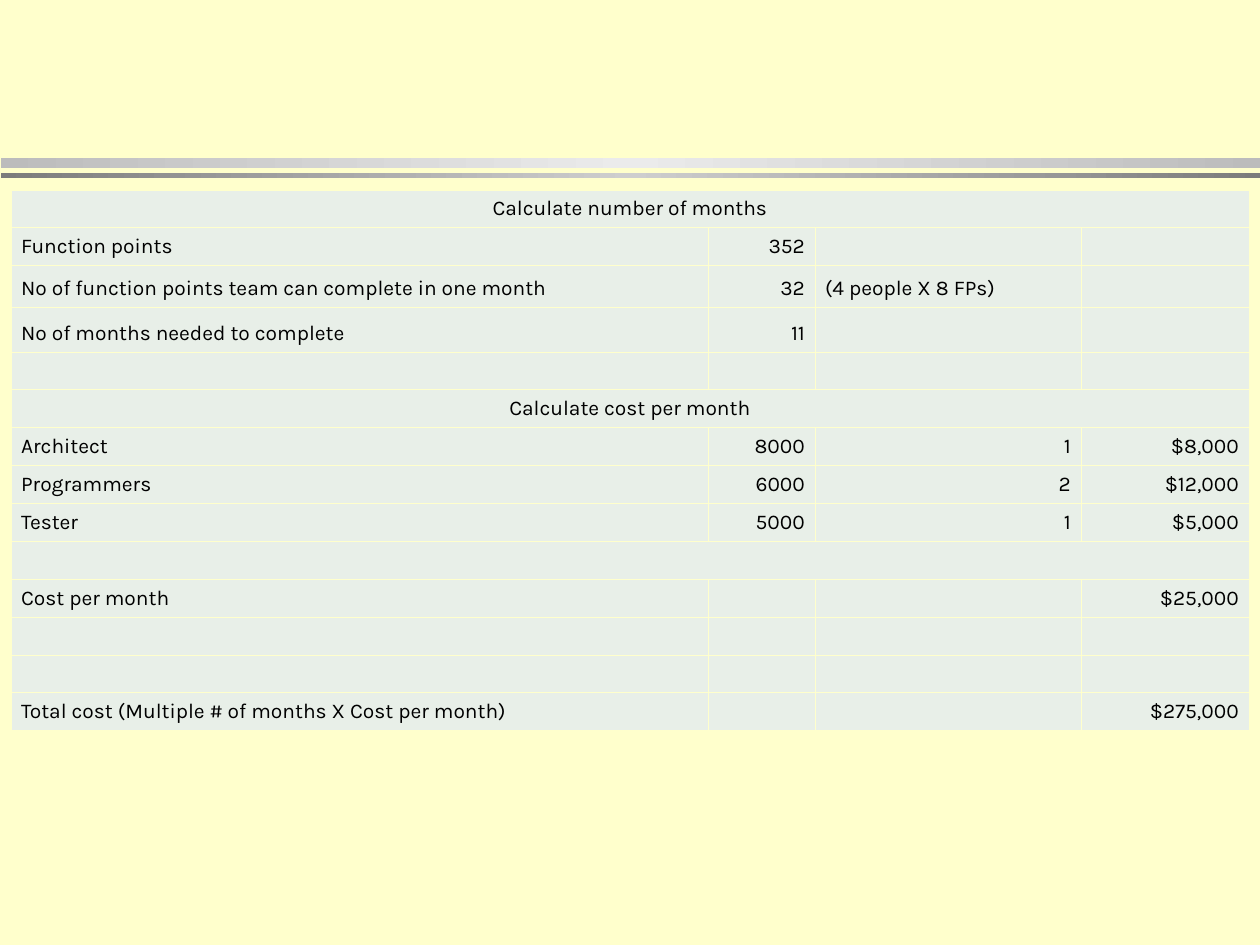
import copy

from lxml import etree
from pptx import Presentation
from pptx import util as u
from pptx.dml.color import RGBColor
from pptx.enum import shapes, text
from pptx.oxml.ns import qn

CREAM, CELL, BLACK = "FFFFCC", "E8EFE8", "000000"
COLUMNS = [697, 107, 266, 168]
HEIGHTS = [36, 38, 42, 45, 37] + [38] * 7 + [37, 38]
ROWS = [
    ["Calculate number of months"],
    ["Function points", "352", "", ""],
    ["No of function points team can complete in one month", "32", "(4 people X 8 FPs)", ""],
    ["No of months needed to complete", "11", "", ""],
    ["", "", "", ""],
    ["Calculate cost per month"],
    ["Architect", "8000", "1", "$8,000"],
    ["Programmers", "6000", "2", "$12,000"],
    ["Tester", "5000", "1", "$5,000"],
    [""],
    ["Cost per month", "", "", "$25,000"],
    ["", "", "", ""],
    ["", "", "", ""],
    ["Total cost (Multiple # of months X Cost per month)", "", "", "$275,000"],
]


def px(n):
    """Turn whole pixels into EMU at 126 pixels to the inch."""
    return u.Emu(round(n * 914400 / 126))


def rgb(code):
    """Turn a hex string into a colour."""
    return RGBColor.from_string(code)


def apply(obj, values):
    """Set the attributes named in a dict."""
    for name, value in values.items():
        setattr(obj, name, value)


def add_bar(s, top, height, edge, middle):
    """Draw a horizontal rule shaded from edge to middle and back."""
    sp = s.shapes.add_shape(shapes.MSO_SHAPE.RECTANGLE, px(1), px(top), px(1259), px(height))
    sp.shadow.inherit = False
    sp.line.fill.background()
    fill = sp.fill
    fill.gradient()
    fill.gradient_angle = 0
    first = fill.gradient_stops[0]._gs
    first.addnext(copy.deepcopy(first))
    for stop, place, code in zip(fill.gradient_stops, (0, 0.5, 1), (edge, middle, edge)):
        stop.position = place
        stop.color.rgb = rgb(code)


def set_borders(cell):
    """Give a cell thin cream borders on all sides."""
    tc_pr = cell._tc.get_or_add_tcPr()
    for side in "LRTB":
        ln = etree.SubElement(tc_pr, qn(f"a:ln{side}"), w=str(u.Pt(0.45)))
        solid = etree.SubElement(ln, qn("a:solidFill"))
        etree.SubElement(solid, qn("a:srgbClr"), val=CREAM)


def format_cell(cell):
    """Set the borders, fill, margins and anchor of a cell."""
    set_borders(cell)
    cell.fill.solid()
    cell.fill.fore_color.rgb = rgb(CELL)
    apply(cell, {
        "margin_left": u.Inches(0.08), "margin_right": u.Inches(0.08),
        "margin_top": u.Inches(0.05), "margin_bottom": u.Inches(0.05),
        "vertical_anchor": text.MSO_ANCHOR.BOTTOM,
    })


def write_cell(cell, words, align):
    """Write one line in a cell, or size its empty line."""
    p = cell.text_frame.paragraphs[0]
    p.alignment = align
    if words:
        r = p.add_run()
        r.text = words
        apply(r.font, {"name": "Karla", "size": u.Pt(12)})
        r.font.color.rgb = rgb(BLACK)
    else:
        end = etree.SubElement(p._p, qn("a:endParaRPr"), sz="1200")
        etree.SubElement(end, qn("a:latin"), typeface="Karla")


def cell_align(words, column, spans):
    """Centre headings, right-align figures and left-align labels."""
    if spans:
        return text.PP_ALIGN.CENTER
    is_label = column == 0 or words.startswith("(")
    return text.PP_ALIGN.LEFT if is_label else text.PP_ALIGN.RIGHT


def add_cost_table(s):
    """Build the cost estimate table."""
    frame = s.shapes.add_table(len(ROWS), len(COLUMNS), px(11), px(190),
                               px(sum(COLUMNS)), px(sum(HEIGHTS)))
    table = frame.table
    apply(table, {"first_row": False, "horz_banding": False})
    for column, width in zip(table.columns, COLUMNS):
        column.width = px(width)
    for i, (row, height) in enumerate(zip(ROWS, HEIGHTS)):
        table.rows[i].height = px(height)
        spans = len(row) == 1
        if spans:
            table.cell(i, 0).merge(table.cell(i, len(COLUMNS) - 1))
        for j in range(len(COLUMNS)):
            words = row[j] if j < len(row) else ""
            format_cell(table.cell(i, j))
            write_cell(table.cell(i, j), words, cell_align(words, j, spans))


def main():
    """Build the slide and save it."""
    prs = Presentation()
    apply(prs, {"slide_width": px(1260), "slide_height": px(945)})
    s = prs.slides.add_slide(prs.slide_layouts[6])
    s.background.fill.solid()
    s.background.fill.fore_color.rgb = rgb(CREAM)
    add_bar(s, 158, 10, "BCBCBC", "EBEBEB")
    add_bar(s, 173, 5, "7C7C7C", "CECECE")
    add_cost_table(s)
    prs.save("out.pptx")


if __name__ == "__main__":
    main()
